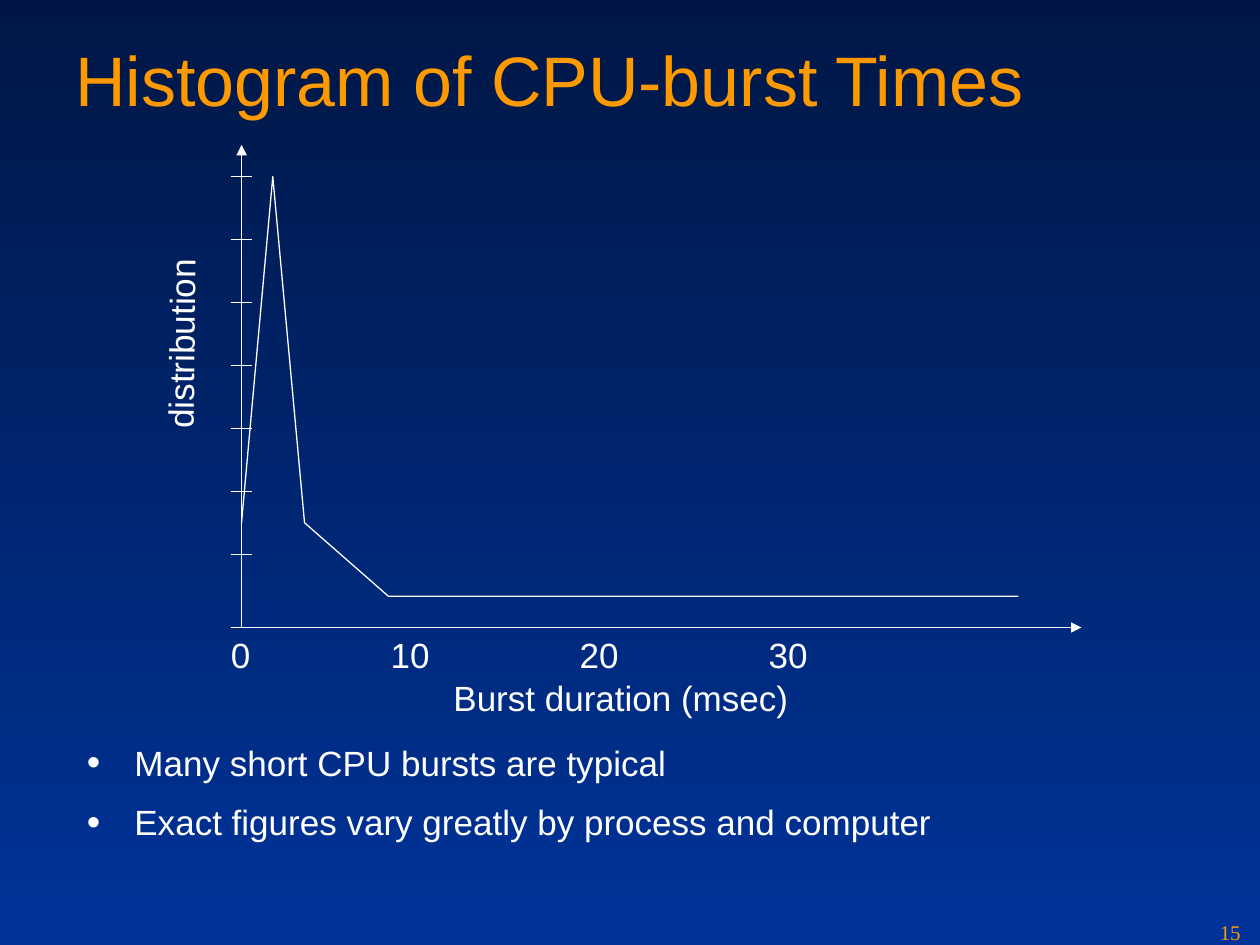
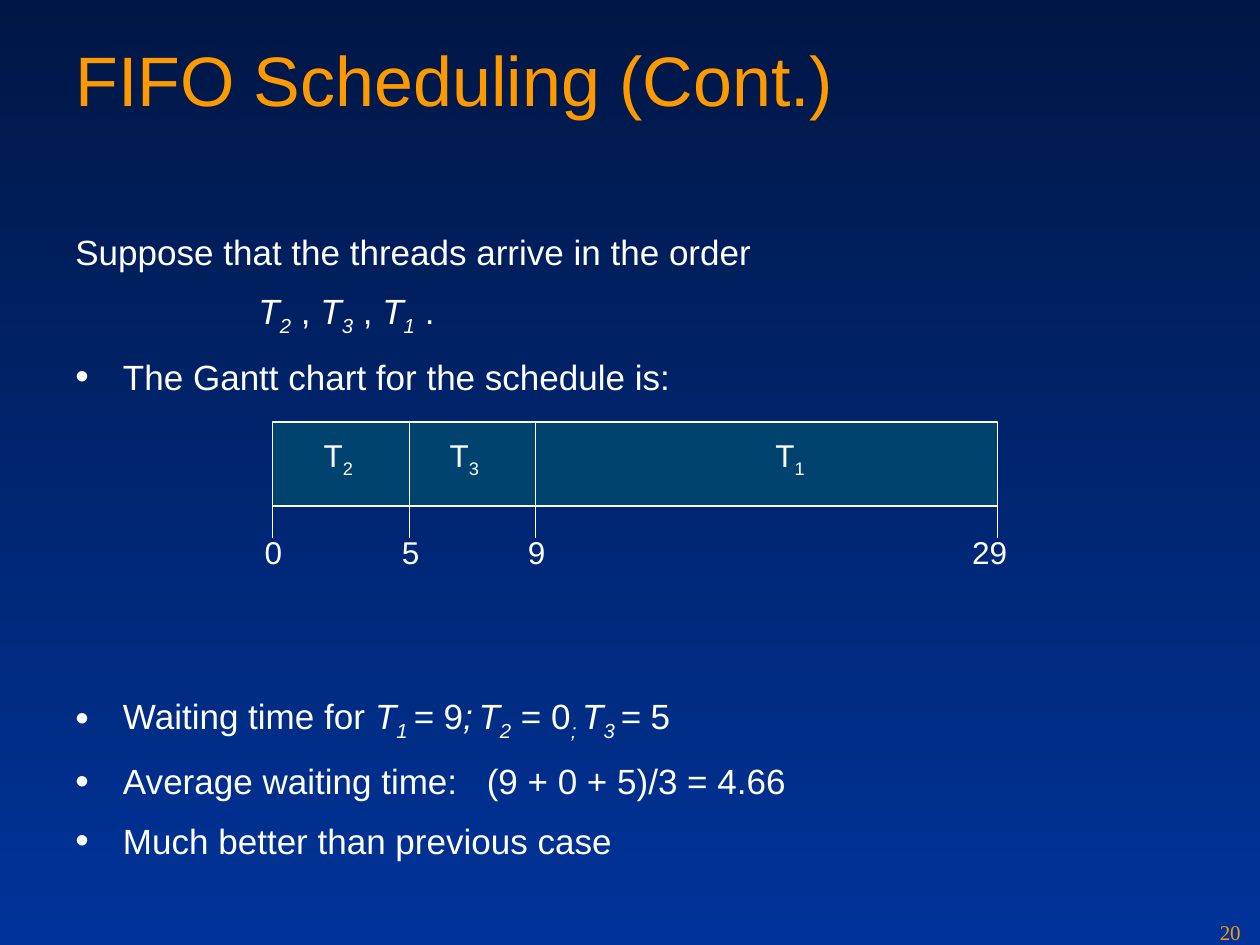
from lxml import etree
from pptx import Presentation
from pptx.dml.color import RGBColor
from pptx.enum import shapes, text
from pptx.oxml import ns
from pptx.util import Cm, Pt

# Shared look
ORANGE = RGBColor(0xFE, 0x99, 0x00)
WHITE = RGBColor(0xFF, 0xFF, 0xFF)
NAVY = RGBColor(0x00, 0x17, 0x46)
BLUE = RGBColor(0x00, 0x33, 0x99)
TEAL = RGBColor(0x00, 0x43, 0x6E)
SANS, SERIF = "Arial", "Times New Roman"
LEFT, CENTER = text.PP_ALIGN.LEFT, text.PP_ALIGN.CENTER
TOP, MIDDLE = text.MSO_ANCHOR.TOP, text.MSO_ANCHOR.MIDDLE

# Run styles: i = italic, s = subscript, w = widened space
PLAIN, ITALIC, SUB, ITALIC_SUB, WIDE = "", "i", "s", "is", "w"

# Histogram slide: positions in cm
HISTOGRAM = "Histogram of CPU-burst Times"
HISTOGRAM_POINTS = ["Many short CPU bursts are typical",
                    "Exact figures vary greatly by process and computer"]
ORIGIN_X, ORIGIN_Y = 4.87, 12.65
X_AXIS_START, X_AXIS_END, Y_AXIS_END = 4.65, 21.8, 2.92
TICK_COUNT, TICK_TOP, TICK_STEP, TICK_END = 7, 3.56, 1.27, 5.08
BURST_CURVE = [(4.87, 10.54), (5.5, 3.56), (6.14, 10.54),
               (7.83, 12.02), (20.53, 12.02)]
X_LABELS = [("0", 4.85)] + [(str(10 * (k + 1)), 8.27 + 3.81 * k)
                            for k in range(3)]

# FIFO slide: paragraphs are (kind, runs)
FIFO = "FIFO Scheduling (Cont.)"
ARRIVAL = [
    ("hanging", [("Suppose that the threads arrive in the order", PLAIN)]),
    ("indented", [("T", ITALIC), ("2", ITALIC_SUB), (" , ", PLAIN),
                  ("T", ITALIC), ("3", ITALIC_SUB), (" , ", PLAIN),
                  ("T", ITALIC), ("1", ITALIC_SUB), (" .", PLAIN)]),
    ("bullet", [("The Gantt chart for the schedule is:", PLAIN)]),
]
WAITING = [
    ("bullet", [("Waiting time for ", PLAIN), ("T", ITALIC),
                ("1 ", ITALIC_SUB), ("=", ITALIC), (" 9", PLAIN),
                (";", ITALIC), (" ", ITALIC_SUB), ("T", ITALIC),
                ("2", ITALIC_SUB), (" = 0", PLAIN),
                ("; ", ITALIC_SUB), ("T", ITALIC), ("3 ", ITALIC_SUB),
                ("= ", ITALIC), ("5", PLAIN)]),
    ("bullet", [("Average waiting time:", PLAIN), (" ", WIDE),
                ("(9 + 0 + 5)/3 = 4.66", PLAIN)]),
    ("bullet", [("Much better than previous case", PLAIN)]),
]
GANTT_TOP, GANTT_BOTTOM, GANTT_TICK_END = 8.51, 10.2, 10.84
GANTT_TIMES = [("0", 5.5, 5.51), ("5", 8.26, 8.28),
               ("9", 10.8, 10.82), ("29", 20.11, 19.95)]  # time, edge, label
GANTT_THREADS = [("2", 6.82), ("3", 9.36), ("1", 15.93)]  # index, label


def add_run(p, string, style=PLAIN, size=20, color=WHITE, font=SANS):
    r = p.add_run()
    r.text = string
    r.font.size, r.font.name, r.font.color.rgb = Pt(size), font, color
    rpr = r.font._element
    if "i" in style:
        r.font.italic = True
    if "s" in style:
        rpr.set("baseline", "-25000")
    if "w" in style:
        rpr.set("spc", "1110")


def add_text(on, x, y, w, h, runs, align=LEFT, anchor=TOP, wrap=True, **look):
    sp = on.add_textbox(Cm(x), Cm(y), Cm(w), Cm(h))
    tf = sp.text_frame
    tf.word_wrap, tf.vertical_anchor = wrap, anchor
    p = tf.paragraphs[0]
    p.alignment = align
    for string, style in runs:
        add_run(p, string, style, **look)
    return sp


def add_label(on, center_x, y, runs, w=1.5, h=1.12, **look):
    return add_text(on, center_x - w / 2, y, w, h, runs, align=CENTER,
                    wrap=False, **look)


def add_line(on, x1, y1, x2, y2, arrow=False):
    ln = on.add_connector(shapes.MSO_CONNECTOR.STRAIGHT,
                          Cm(x1), Cm(y1), Cm(x2), Cm(y2))
    ln.line.color.rgb, ln.line.width = WHITE, Pt(0.75)
    if arrow:
        etree.SubElement(ln.line._get_or_add_ln(), ns.qn("a:tailEnd"),
                         type="triangle")
    etree.SubElement(ln._element.spPr, ns.qn("a:effectLst"))


def style_shape(sp):
    sp.shadow.inherit = False
    sp.line.color.rgb, sp.line.width = WHITE, Pt(0.75)


def set_indent(p, kind):
    ppr = p._p.get_or_add_pPr()
    left, first = (3.69, 0) if kind == "indented" else (0.96, -0.96)
    ppr.set("marL", str(Cm(left)))
    ppr.set("indent", str(Cm(first)))
    if kind == "bullet":
        color = etree.SubElement(ppr, ns.qn("a:buClr"))
        etree.SubElement(color, ns.qn("a:srgbClr"), val=str(WHITE))
        etree.SubElement(ppr, ns.qn("a:buSzPct"), val="110000")
        etree.SubElement(ppr, ns.qn("a:buFont"), typeface=SANS)
        etree.SubElement(ppr, ns.qn("a:buChar"), char="•")


def add_body(on, x, y, w, h, paragraphs):
    tf = on.add_textbox(Cm(x), Cm(y), Cm(w), Cm(h)).text_frame
    tf.word_wrap = True
    for i, (kind, runs) in enumerate(paragraphs):
        p = tf.add_paragraph() if i else tf.paragraphs[0]
        set_indent(p, kind)
        p.space_before, p.space_after = Pt(5 if i else 0), Pt(5)
        for string, style in runs:
            add_run(p, string, style)


def add_slide(prs, title, number):
    on = prs.slides.add_slide(prs.slide_layouts[6]).shapes
    add_text(on, 1.27, 0.62, 22.86, 3.18, [(title, PLAIN)],
             size=40, color=ORANGE)
    add_text(on, 24.34, 18.42, 1.06, 0.63, [(number, PLAIN)],
             size=12, color=ORANGE, font=SERIF)
    return on


def set_background(prs):
    fill = prs.slide_master.background.fill
    fill.gradient()
    fill.gradient_angle = 270
    for stop, color, position in zip(fill.gradient_stops, (NAVY, BLUE), (0, 1)):
        stop.color.rgb, stop.position = color, position


def build_histogram(prs):
    on = add_slide(prs, HISTOGRAM, "15")
    # Axes and ticks
    add_line(on, X_AXIS_START, ORIGIN_Y, X_AXIS_END, ORIGIN_Y, arrow=True)
    add_line(on, ORIGIN_X, ORIGIN_Y, ORIGIN_X, Y_AXIS_END, arrow=True)
    for k in range(TICK_COUNT):
        y = TICK_TOP + k * TICK_STEP
        add_line(on, X_AXIS_START, y, TICK_END, y)
    # Axis labels
    for value, x in X_LABELS:
        add_label(on, x, ORIGIN_Y, [(value, PLAIN)])
    add_label(on, 12.52, 13.51, [("Burst duration (msec)", PLAIN)], w=8)
    sp = add_label(on, 3.65, 6.37, [("distribution", PLAIN)], w=5)
    sp.rotation = 270.5
    # Distribution curve
    start, *rest = [(Cm(x), Cm(y)) for x, y in BURST_CURVE]
    outline = on.build_freeform(*start)
    outline.add_line_segments(rest, close=False)
    curve = outline.convert_to_shape()
    curve.fill.background()
    style_shape(curve)
    add_body(on, 1.5, 14.82, 23.06, 3.18,
             [("bullet", [(point, PLAIN)]) for point in HISTOGRAM_POINTS])


def build_fifo(prs):
    on = add_slide(prs, FIFO, "20")
    add_body(on, 1.27, 4.52, 22.86, 3.8, ARRIVAL)
    add_body(on, 1.27, 13.88, 22.86, 3.9, WAITING)
    # Gantt chart
    gantt = on.add_group_shape().shapes
    left, right = GANTT_TIMES[0][1], GANTT_TIMES[-1][1]
    bar = gantt.add_shape(shapes.MSO_SHAPE.RECTANGLE, Cm(left), Cm(GANTT_TOP),
                          Cm(right - left), Cm(GANTT_BOTTOM - GANTT_TOP))
    bar.fill.solid()
    bar.fill.fore_color.rgb = TEAL
    style_shape(bar)
    for index, x in GANTT_THREADS:
        add_label(gantt, x, 8.66, [("T", PLAIN), (index, SUB)],
                  anchor=MIDDLE, size=18)
    for time, edge, x in GANTT_TIMES:
        inner = left < edge < right
        add_line(gantt, edge, GANTT_TOP if inner else GANTT_BOTTOM,
                 edge, GANTT_TICK_END)
        add_label(gantt, x, 10.62, [(time, PLAIN)], h=1.02,
                  anchor=MIDDLE, size=18)


def main():
    prs = Presentation()
    prs.slide_width, prs.slide_height = Cm(25.4), Cm(19.05)
    set_background(prs)
    build_histogram(prs)
    build_fifo(prs)
    prs.save("out.pptx")


if __name__ == "__main__":
    main()
